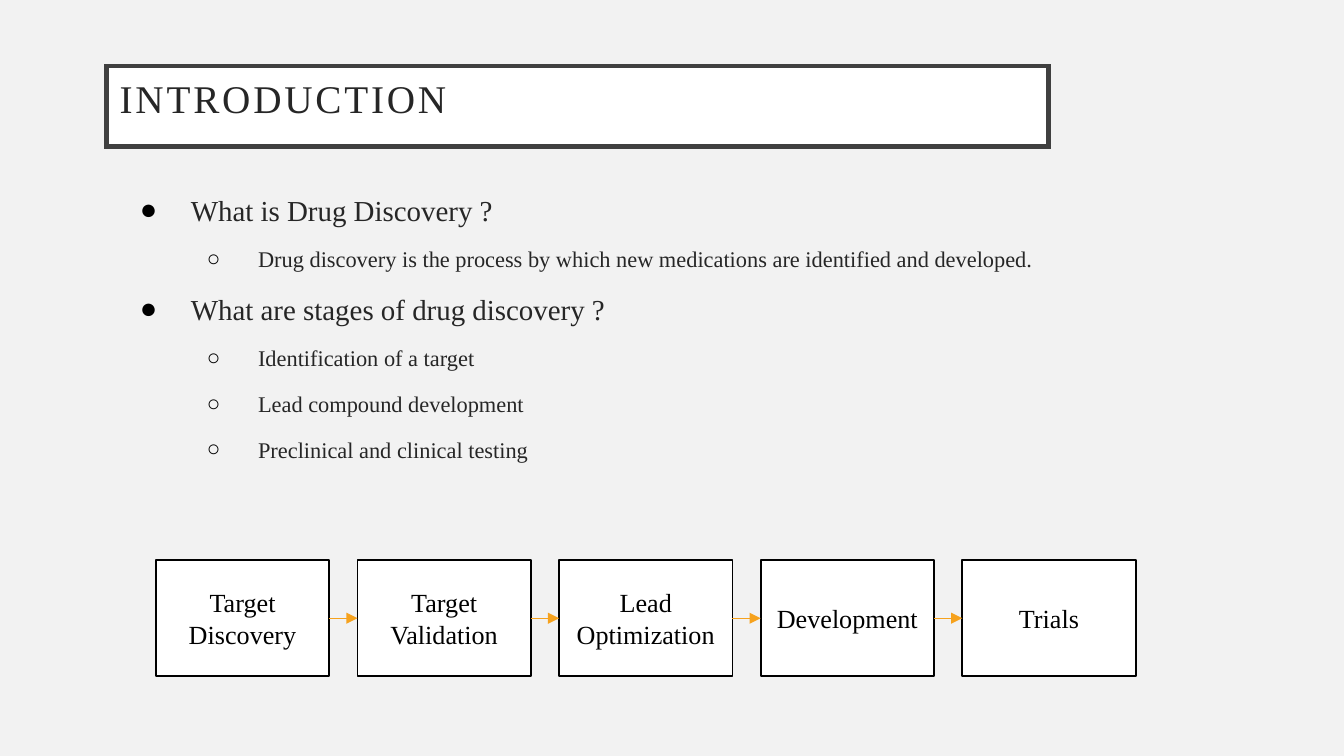
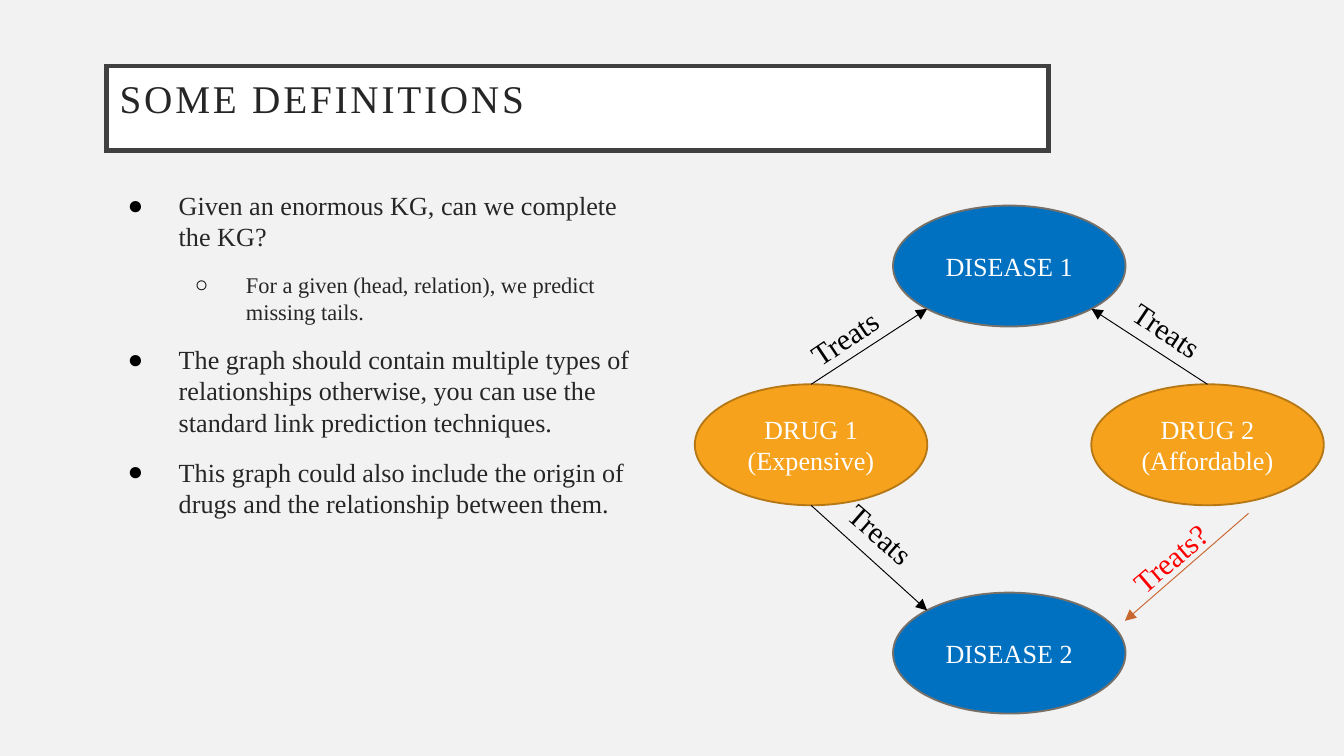
from collections import namedtuple
from dataclasses import dataclass
from math import cos, radians, sin

from lxml import etree
from pptx import Presentation, util as u
from pptx.dml.color import RGBColor
from pptx.enum import shapes, text
from pptx.oxml.ns import qn

Box = namedtuple("Box", "left top width height")


@dataclass(frozen=True)
class Theme:
    font: str = "Times New Roman"
    background: str = "F2F2F2"
    frame: str = "404040"
    body: str = "262626"
    black: str = "000000"
    white: str = "FFFFFF"
    drug: str = "F6A21D"
    drug_edge: str = "B67815"
    disease: str = "0070C0"
    disease_edge: str = "767068"
    question: str = "C96731"
    question_label: str = "FF0000"
    title_size: float = 21
    intro_size: float = 15.5
    text_size: float = 14
    detail_size: float = 12
    label_size: float = 16


THEME = Theme()
BULLETS = ("●", "○")


def rgb(color):
    return RGBColor.from_string(color)


def inches(values):
    return [u.Inches(value) for value in values]


def write(frame, lines, size=THEME.text_size, color=THEME.black,
          align=text.PP_ALIGN.LEFT, anchor=text.MSO_ANCHOR.TOP,
          inset=0.05, fit=text.MSO_AUTO_SIZE.NONE, gap=0,
          line_spacing=None, tracking=None, detail_size=None):
    frame.word_wrap = True
    frame.auto_size = fit
    frame.vertical_anchor = anchor
    frame.margin_left = frame.margin_right = u.Inches(0.1)
    frame.margin_top = frame.margin_bottom = u.Inches(inset)
    for index, (level, words) in enumerate(lines):
        paragraph = frame.add_paragraph() if index else frame.paragraphs[0]
        paragraph.level = level
        paragraph.alignment = align
        paragraph.space_before = u.Pt(gap if index else 0)
        if line_spacing:
            paragraph.line_spacing = line_spacing
        if detail_size:
            add_bullet(paragraph, level)
        run = paragraph.add_run()
        run.text = words
        run.font.name = THEME.font
        run.font.size = u.Pt(detail_size if level else size)
        run.font.color.rgb = rgb(color)
        if tracking:
            run._r.get_or_add_rPr().set("spc", str(int(tracking * 100)))


def add_bullet(paragraph, level):
    properties = paragraph._p.get_or_add_pPr()
    properties.set("marL", str(u.Inches(0.53 + 0.5 * level)))
    properties.set("indent", str(u.Inches(-0.38)))
    bullet_color = etree.SubElement(properties, qn("a:buClr"))
    etree.SubElement(bullet_color, qn("a:srgbClr"), val=THEME.black)
    etree.SubElement(properties, qn("a:buChar"), char=BULLETS[level])


def place(placeholder, box):
    (placeholder.left, placeholder.top,
     placeholder.width, placeholder.height) = inches(box)


def paint(shape, fill, edge, weight):
    shape.shadow.inherit = False
    shape.fill.solid()
    shape.fill.fore_color.rgb = rgb(fill)
    shape.line.color.rgb = rgb(edge)
    shape.line.width = u.Pt(weight)


def add_title(slide, box, words):
    title = slide.shapes.title
    place(title, box)
    paint(title, THEME.white, THEME.frame, 2.5)
    outline = title._element.spPr.find(qn("a:ln"))
    etree.SubElement(outline, qn("a:miter"), lim="800000")
    write(title.text_frame, [(0, words)], size=THEME.title_size,
          color=THEME.body, inset=0.1, line_spacing=0.9, tracking=1.5)


def add_list(slide, box, lines, size):
    body = slide.placeholders[1]
    place(body, box)
    write(body.text_frame, lines, size=size, color=THEME.body, inset=0.1,
          gap=10, detail_size=THEME.detail_size)


def add_node(slide, preset, box, lines, fill, edge, color):
    node = slide.shapes.add_shape(preset, *inches(box))
    paint(node, fill, edge, 1)
    write(node.text_frame, [(0, line) for line in lines], color=color,
          align=text.PP_ALIGN.CENTER, anchor=text.MSO_ANCHOR.MIDDLE)
    return node


def add_arrow(slide, start, end, color):
    arrow = slide.shapes.add_connector(
        shapes.MSO_CONNECTOR.STRAIGHT, *inches((*start, *end)))
    arrow.line.color.rgb = rgb(color)
    arrow.line.width = u.Pt(0.5)
    properties = arrow._element.spPr
    etree.SubElement(properties.find(qn("a:ln")), qn("a:tailEnd"),
                     type="triangle")
    etree.SubElement(properties, qn("a:effectLst"))
    return arrow


def add_relation(slide, left, top, words, angle, color=THEME.black):
    relation = slide.shapes.add_textbox(*inches((left, top, 0.99, 0.37)))
    relation.rotation = angle
    write(relation.text_frame, [(0, words)], size=THEME.label_size,
          color=color, fit=text.MSO_AUTO_SIZE.SHAPE_TO_FIT_TEXT)


def add_pipeline(slide, box, stages):
    stage_width = 1.29
    pitch = (box.width - stage_width) / (len(stages) - 1)
    stage_boxes = [Box(box.left + i * pitch, box.top, stage_width, box.height)
                   for i in range(len(stages))]
    nodes = [add_node(slide, shapes.MSO_SHAPE.RECTANGLE, stage_box, [stage],
                      THEME.white, THEME.black, THEME.black)
             for stage_box, stage in zip(stage_boxes, stages)]
    middle = box.top + box.height / 2
    for i in range(len(nodes) - 1):
        arrow = add_arrow(slide, (stage_boxes[i].left + stage_width, middle),
                          (stage_boxes[i + 1].left, middle), THEME.drug)
        arrow.begin_connect(nodes[i], 3)
        arrow.end_connect(nodes[i + 1], 1)


def rim(box, angle):
    turn = radians(angle)
    return (box.left + box.width / 2 * (1 + cos(turn)),
            box.top + box.height / 2 * (1 - sin(turn)))


def add_knowledge_graph(slide, box):
    width, height = 1.73, 0.9
    right = box.left + box.width - width
    center = (box.left + right) / 2
    bottom = box.top + box.height - height
    drug_top = box.top + 1.33
    drug_1 = Box(box.left, drug_top, width, height)
    drug_2 = Box(right, drug_top, width, height)
    disease_1 = Box(center, box.top, width, height)
    disease_2 = Box(center, bottom, width, height)

    drug_style = THEME.drug, THEME.drug_edge
    disease_style = THEME.disease, THEME.disease_edge
    for node_box, lines, style in (
        (drug_1, ["DRUG 1", "(Expensive)"], drug_style),
        (drug_2, ["DRUG 2", "(Affordable)"], drug_style),
        (disease_1, ["DISEASE 1"], disease_style),
        (disease_2, ["DISEASE 2"], disease_style),
    ):
        add_node(slide, shapes.MSO_SHAPE.OVAL, node_box, lines, *style,
                 THEME.white)

    for start, end in (
        (rim(drug_1, 90), rim(disease_1, 225)),
        (rim(drug_1, 270), rim(disease_2, 135)),
        (rim(drug_2, 90), rim(disease_1, 315)),
    ):
        add_arrow(slide, start, end, THEME.black)

    for x, y, angle in ((0.72, 0.73, 326.1), (0.98, 2.34, 41.2),
                        (3.12, 0.81, 33.7)):
        add_relation(slide, box.left + x, box.top + y, "Treats", angle)
    add_arrow(slide, (box.left + 4.12, box.top + 2.29),
              (box.left + 3.2, box.top + 3.09), THEME.question)
    add_relation(slide, box.left + 3.1, box.top + 2.39, "Treats?", 319.6,
                 THEME.question_label)


def build_introduction(slide):
    add_title(slide, Box(0.79, 0.49, 7.01, 0.6), "INTRODUCTION")
    add_list(slide, Box(0.79, 1.33, 7.01, 3.71), [
        (0, "What is Drug Discovery ?"),
        (1, "Drug discovery is the process by which new medications are "
            "identified and developed."),
        (0, "What are stages of drug discovery ?"),
        (1, "Identification of a target"),
        (1, "Lead compound development"),
        (1, "Preclinical and clinical testing"),
    ], THEME.intro_size)
    add_pipeline(slide, Box(1.16, 4.17, 7.29, 0.86), [
        "Target Discovery", "Target Validation", "Lead Optimization",
        "Development", "Trials"])


def build_definitions(slide):
    add_title(slide, Box(0.79, 0.49, 7.01, 0.63), "SOME DEFINITIONS")
    add_list(slide, Box(0.7, 1.31, 4.24, 4), [
        (0, "Given an enormous KG, can we complete the KG?"),
        (1, "For a given (head, relation), we predict missing tails."),
        (0, "The graph should contain multiple types of relationships "
            "otherwise, you can use the standard link prediction techniques."),
        (0, "This graph could also include the origin of drugs and the "
            "relationship between them."),
    ], THEME.text_size)
    add_knowledge_graph(slide, Box(5.17, 1.53, 4.68, 3.78))


def main():
    deck = Presentation()
    deck.slide_width = u.Inches(10)
    deck.slide_height = u.Inches(10 * 9 / 16)
    backdrop = deck.slide_master.background.fill
    backdrop.solid()
    backdrop.fore_color.rgb = rgb(THEME.background)
    for build in (build_introduction, build_definitions):
        build(deck.slides.add_slide(deck.slide_layouts[1]))
    deck.save("out.pptx")


if __name__ == "__main__":
    main()
